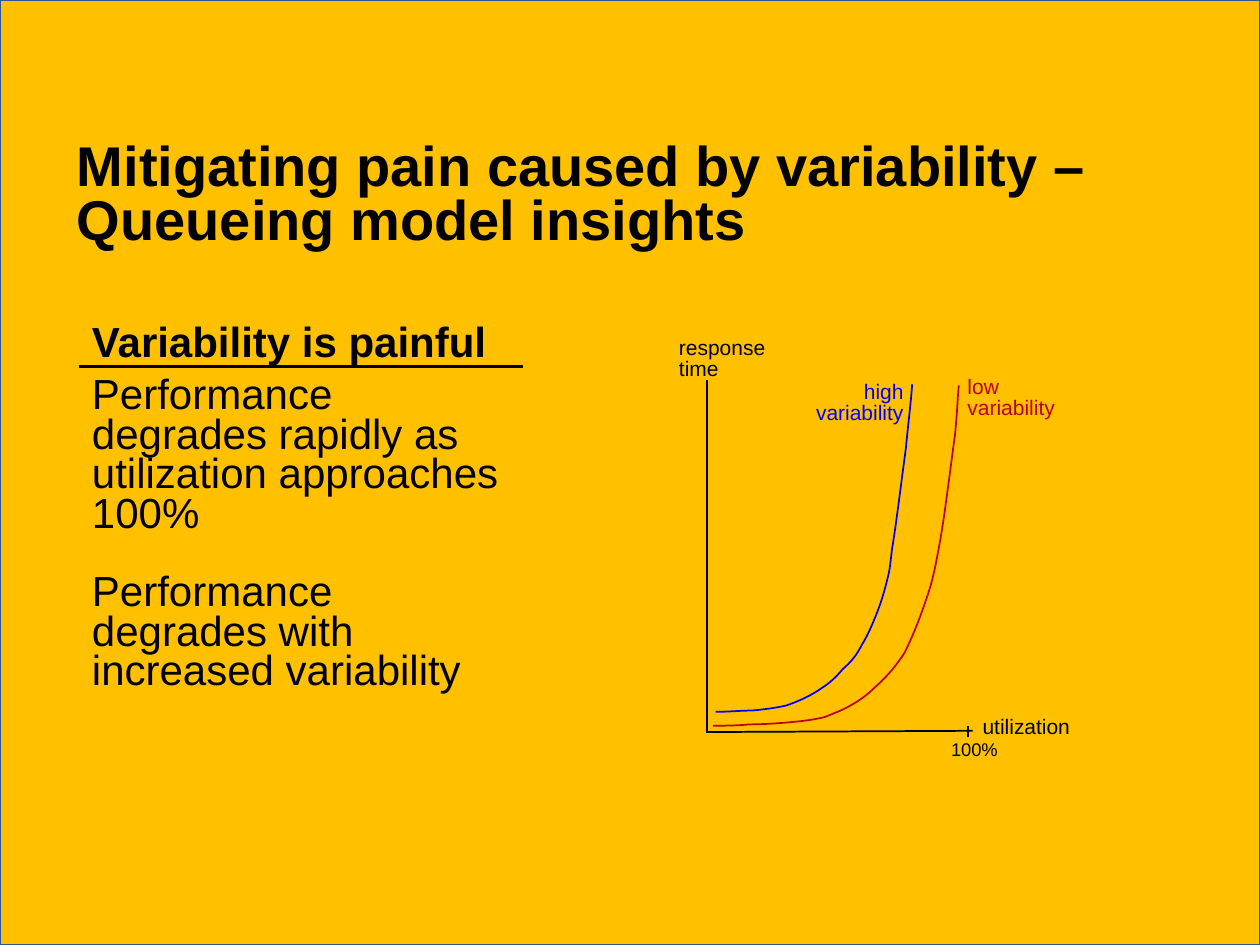
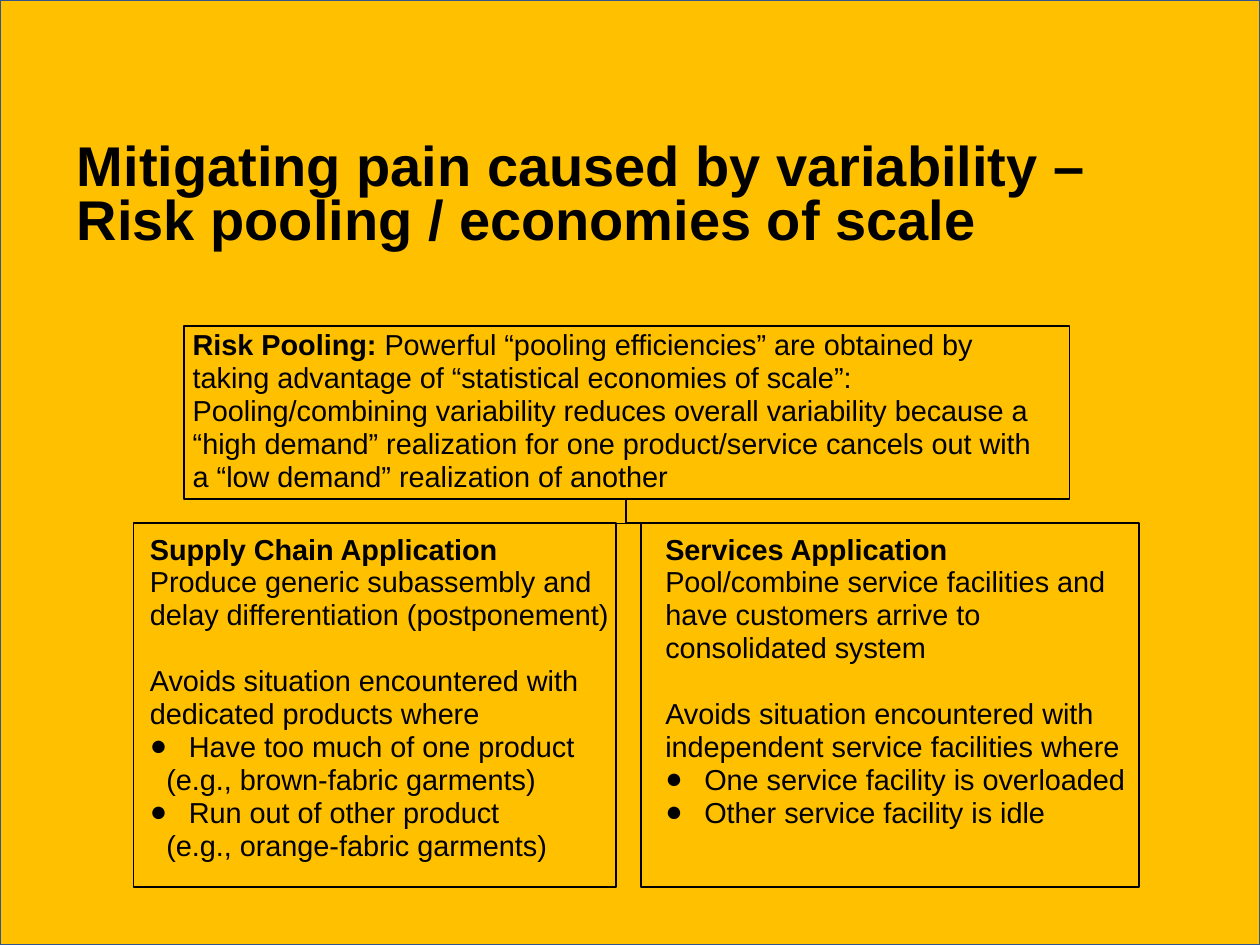
"""Build two slides on easing the pain caused by variability."""
import pptx
import pptx.util
import pptx.dml.color
import pptx.enum.shapes
import pptx.enum.text
import lxml.etree
from pptx.oxml.ns import qn

Inches, Pt = pptx.util.Inches, pptx.util.Pt
ALIGN = pptx.enum.text.PP_ALIGN
LINK = pptx.enum.shapes.MSO_CONNECTOR
RECT = pptx.enum.shapes.MSO_SHAPE.RECTANGLE
FONT = "Arial"
HEX = {"gold": "FFC000", "edge": "325491", "ink": "000000",
       "high": "0000FF", "low": "C00000"}
TITLE = "Mitigating pain caused by variability – "

PAIN = [
    ("head", "Variability is painful"),
    ("text", "Performance \vdegrades rapidly as utilization approaches 100%"),
    ("gap", "Performance \vdegrades with increased variability"),
]
LABELS = [
    ("low variability", "low", 12, ALIGN.LEFT, (7.58, 2.95, 0.91, 0.44)),
    ("high variability", "high", 12, ALIGN.RIGHT, (6.36, 2.99, 0.91, 0.44)),
    ("response time", "ink", 12, ALIGN.LEFT, (5.29, 2.64, 1.01, 0.44)),
    ("utilization", "ink", 12, ALIGN.LEFT, (7.7, 5.65, 0.93, 0.27)),
    ("100%", "ink", 10.5, ALIGN.LEFT, (7.45, 5.82, 0.93, 0.27)),
]
RULES = [
    ((0.63, 2.91, 4.15, 2.91), 2),
    ((5.61, 3.02, 5.61, 5.82), 1),
    ((7.72, 5.8, 5.62, 5.81), 1),
    ((7.68, 5.76, 7.68, 5.85), 1),
]
CURVES = {
    "low": [
        (5.66, 5.76), (5.75, 5.76), (5.84, 5.76), (5.95, 5.75),
        (6.05, 5.75), (6.2, 5.74), (6.3, 5.73), (6.4, 5.72), (6.47, 5.71),
        (6.55, 5.69), (6.62, 5.66), (6.68, 5.64), (6.75, 5.6), (6.82, 5.56),
        (6.88, 5.52), (6.95, 5.45), (7.03, 5.38), (7.11, 5.29), (7.18, 5.18),
        (7.24, 5.06), (7.3, 4.91), (7.35, 4.76), (7.4, 4.62), (7.42, 4.52),
        (7.46, 4.3), (7.5, 4.08), (7.55, 3.66), (7.58, 3.45), (7.6, 3.24),
        (7.6, 3.15), (7.61, 3.06)],
    "high": [
        (5.68, 5.65), (5.78, 5.65), (5.87, 5.64), (5.97, 5.64),
        (6.07, 5.63), (6.15, 5.62), (6.24, 5.6), (6.33, 5.57), (6.44, 5.52),
        (6.51, 5.47), (6.59, 5.42), (6.64, 5.37), (6.69, 5.31), (6.75, 5.26),
        (6.8, 5.2), (6.84, 5.12), (6.89, 5.04), (6.94, 4.92), (6.97, 4.84),
        (7, 4.76), (7.02, 4.69), (7.04, 4.61), (7.06, 4.53), (7.06, 4.54),
        (7.08, 4.36), (7.11, 4.19), (7.16, 3.78), (7.19, 3.56), (7.21, 3.35),
        (7.23, 3.2), (7.24, 3.05)],
}
POOL = [
    ("head", "Risk Pooling:", " Powerful “pooling efficiencies” are obtained by "
     "taking advantage of “statistical economies of scale”:"),
    ("text", "Pooling/combining variability reduces overall variability because "
     "a “high demand” realization for one product/service cancels out with a "
     "“low demand” realization of another"),
]
USES = [
    ((1.06, 4.15, 3.83, 2.89), 0.13, [
        ("head", "Supply Chain Application"),
        ("text", "Produce generic subassembly and delay differentiation (postponement)"),
        ("gap", "Avoids situation encountered with dedicated products where"),
        ("dot", "Have too much of one product"),
        ("note", "(e.g., brown-fabric garments)"),
        ("dot", "Run out of other product"),
        ("note", "(e.g., orange-fabric garments)")]),
    ((5.09, 4.15, 3.95, 2.89), 0.19, [
        ("head", "Services Application"),
        ("text", "Pool/combine service facilities and have customers arrive to "
         "consolidated system"),
        ("gap", "Avoids situation encountered with independent service "
         "facilities where"),
        ("dot", "One service facility is overloaded"),
        ("dot", "Other service facility is idle")]),
]
ELBOWS = [
    ((3.95, 3.14, 4.15, 4.97), {"rot": "5400000"}),
    ((5.79, 3.13, 5.99, 4.97), {"rot": "16200000", "flipH": "1"}),
]
INDENT = {"dot": (0.31, -0.31), "note": (0.13, 0)}


def tint(name):
    return pptx.dml.color.RGBColor.from_string(HEX[name])


def place(shape, box):
    shape.left, shape.top, shape.width, shape.height = map(Inches, box)


def stroke(shape, name="ink", width=1):
    shape.line.color.rgb = tint(name)
    shape.line.width = Pt(width)


def ink(run, size, name="ink", bold=False):
    run.font.name, run.font.size, run.font.bold = FONT, Pt(size), bold
    run.font.color.rgb = tint(name)


def frame(shape, sides=(0.1, 0.05, 0.1, 0.05)):
    text = shape.text_frame
    text.word_wrap = True
    text.auto_size = pptx.enum.text.MSO_AUTO_SIZE.NONE
    text.vertical_anchor = pptx.enum.text.MSO_ANCHOR.TOP
    (text.margin_left, text.margin_top,
     text.margin_right, text.margin_bottom) = map(Inches, sides)
    return text


def write(text, items, size, step, after=0):
    for num, (kind, words, *rest) in enumerate(items):
        par = text.paragraphs[0] if num == 0 else text.add_paragraph()
        left, hang = INDENT.get(kind, (0, 0))
        props = par._p.get_or_add_pPr()
        props.set("marL", str(Inches(left)))
        props.set("indent", str(Inches(hang)))
        if kind == "dot":
            lxml.etree.SubElement(props, qn("a:buChar")).set("char", "●")
        else:
            lxml.etree.SubElement(props, qn("a:buNone"))
        par.text = words
        par.alignment = ALIGN.LEFT
        par.line_spacing = Pt(step)
        par.space_before = Pt(step if kind == "gap" else 0)
        par.space_after = Pt(after if kind == "head" else 0)
        for run in par.runs:
            ink(run, size, bold=kind == "head")
        for more in rest:
            run = par.add_run()
            run.text = more
            ink(run, size)


def rule(slide, ends, width=1, kind=LINK.STRAIGHT):
    line = slide.shapes.add_connector(kind, *map(Inches, ends))
    stroke(line, width=width)
    lxml.etree.SubElement(line._element.spPr, qn("a:effectLst"))
    return line


def elbow(slide, ends, turn):
    props = rule(slide, ends, kind=LINK.ELBOW)._element.spPr
    props.find(qn("a:prstGeom")).set("prst", "bentConnector2")
    for name, value in turn.items():
        props.find(qn("a:xfrm")).set(name, value)


def block(slide, box):
    shape = slide.shapes.add_shape(RECT, *map(Inches, box))
    shape.shadow.inherit = False
    return shape


def start(deck, layout, topic):
    slide = deck.slides.add_slide(deck.slide_layouts[layout])
    back = block(slide, (0, 0, 10, 7.5))
    back.fill.solid()
    back.fill.fore_color.rgb = tint("gold")
    stroke(back, "edge")
    slide.shapes._spTree.insert(2, back._element)
    title = slide.shapes.title
    place(title, (0.51, 1.09, 9.23, 0.97))
    par = frame(title).paragraphs[0]
    par.text = TITLE + topic
    par.alignment = ALIGN.LEFT
    par.line_spacing = 0.8
    ink(par.runs[0], 32, bold=True)
    return slide


def curve(slide, name, knots):
    spots = [(Inches(x), Inches(y)) for x, y in knots]
    pen = slide.shapes.build_freeform(*spots[0])
    pen.add_line_segments(spots[1:], close=False)
    shape = pen.convert_to_shape()
    trace = shape._element.spPr.find(".//" + qn("a:path"))
    legs = trace.findall(qn("a:lnTo"))
    for first in range(0, len(legs), 3):
        bend = lxml.etree.SubElement(trace, qn("a:cubicBezTo"))
        for leg in legs[first:first + 3]:
            bend.append(leg[0])
            trace.remove(leg)
    shape.fill.background()
    shape.shadow.inherit = False
    stroke(shape, name)


def queue(deck):
    slide = start(deck, 1, "Queueing model insights")
    body = slide.placeholders[1]
    place(body, (0.63, 2.54, 3.73, 3.12))
    write(frame(body), PAIN, 24, 22.5, after=7.5)
    for ends, width in RULES:
        rule(slide, ends, width)
    for name, knots in CURVES.items():
        curve(slide, name, knots)
    for words, name, size, side, box in LABELS:
        label = slide.shapes.add_textbox(*map(Inches, box))
        par = frame(label).paragraphs[0]
        par.text = words
        par.alignment = side
        par.line_spacing = Pt(12)
        ink(par.runs[0], size, name)


def pool(deck):
    slide = start(deck, 3, "Risk pooling / economies of scale")
    for num, (box, inset, items) in enumerate(USES, 1):
        body = slide.placeholders[num]
        place(body, box)
        stroke(body)
        write(frame(body, (inset, 0.08, 0, 0)), items, 16.5, 18.8)
    top = block(slide, (1.46, 2.59, 7.03, 1.37))
    top.fill.background()
    stroke(top)
    write(frame(top, (0.07, 0.02, 0.24, 0)), POOL, 16.5, 18.8)
    for ends, turn in ELBOWS:
        elbow(slide, ends, turn)


def main():
    deck = pptx.Presentation()
    deck.slide_width, deck.slide_height = Inches(10), Inches(7.5)
    queue(deck)
    pool(deck)
    deck.save("out.pptx")


if __name__ == "__main__":
    main()
